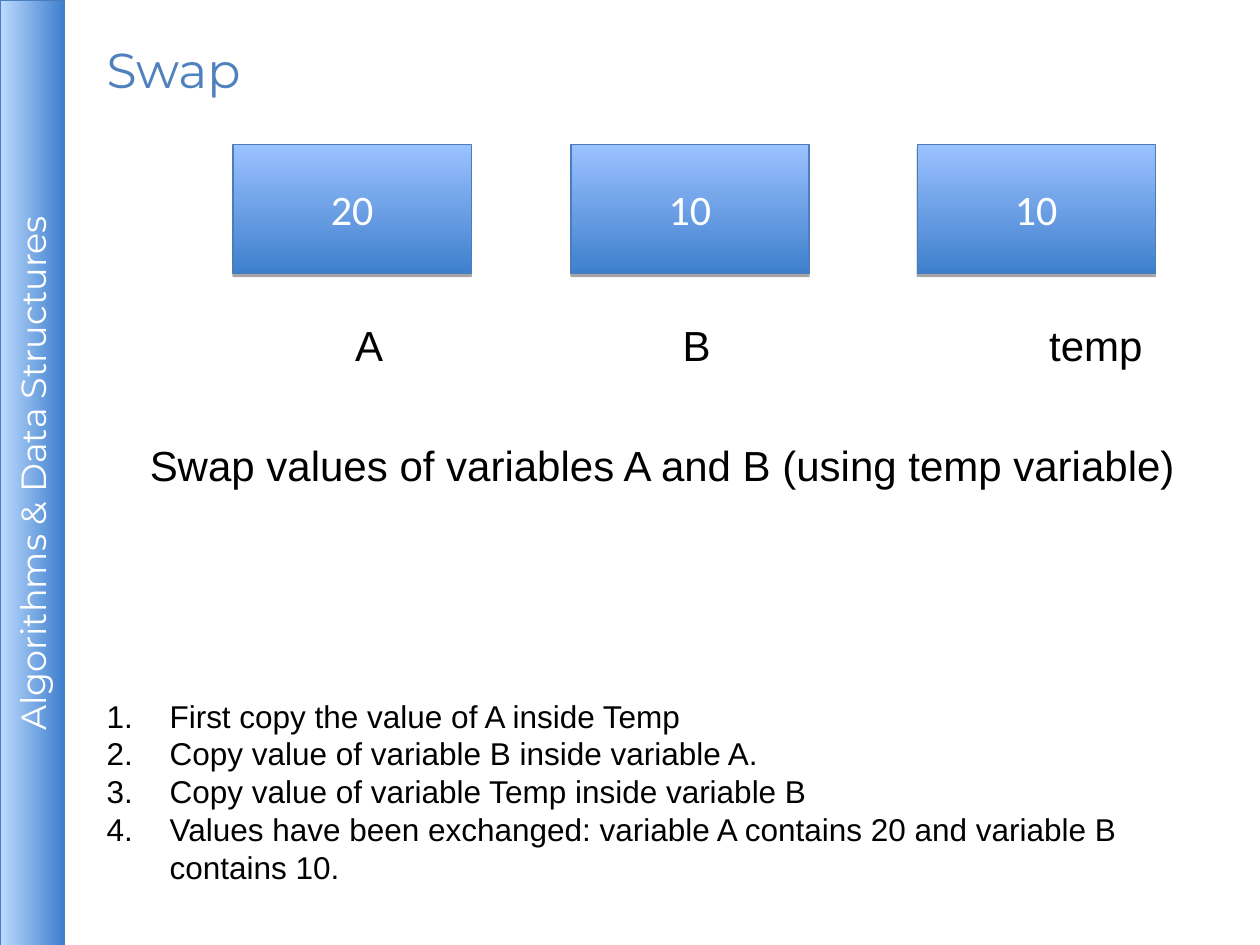
import dataclasses

import lxml.etree
import pptx
import pptx.dml.color
import pptx.enum.shapes
import pptx.enum.text
import pptx.oxml.ns
import pptx.util

Cm = pptx.util.Cm
Pt = pptx.util.Pt
qn = pptx.oxml.ns.qn
PP_ALIGN = pptx.enum.text.PP_ALIGN
ANCHOR = pptx.enum.text.MSO_ANCHOR


def rgb(value):
    return pptx.dml.color.RGBColor.from_string(value)


@dataclasses.dataclass(frozen=True)
class Theme:
    heading_font: str = "Montserrat"
    body_font: str = "Arial"
    box_font: str = "Calibri"
    accent: str = "4F81BD"
    text: str = "000000"
    light: str = "FFFFFF"
    bar_fill: tuple = ("BDDBFE", "3E7FCD")
    bar_line: str = "4A7DBB"
    bar_shadow: str = "EEECE1"
    box_fill: tuple = ("3F80CD", "9BC1FF")
    box_line: str = "4A7EBB"
    box_shadow: str = "000000"
    title_size: int = 28
    body_size: int = 24
    bar_size: int = 20
    step_size: int = 18


class SlideBuilder:
    def __init__(self, prs, theme):
        self.theme = theme
        self.slide = prs.slides.add_slide(prs.slide_layouts[6])

    def style(self, p, font, size, color):
        p.font.name = font
        p.font.size = Pt(size)
        p.font.color.rgb = rgb(color)

    def gradient_box(self, at, text, colors, angle, line, shadow, font, size):
        sp = self.slide.shapes.add_shape(
            pptx.enum.shapes.MSO_SHAPE.RECTANGLE, *map(Cm, at))
        sp.fill.gradient()
        sp.fill.gradient_angle = angle
        for stop, color in zip(sp.fill.gradient_stops, colors):
            stop.color.rgb = rgb(color)
        sp.line.color.rgb = rgb(line)
        sp.line.width = Pt(0.75)
        self.drop_shadow(sp, shadow)
        tf = sp.text_frame
        tf.word_wrap = True
        tf.vertical_anchor = ANCHOR.MIDDLE
        p = tf.paragraphs[0]
        p.text = text
        p.alignment = PP_ALIGN.CENTER
        self.style(p, font, size, self.theme.light)
        return sp

    def drop_shadow(self, sp, color):
        sp.shadow.inherit = False
        effects = sp._element.spPr.find(qn("a:effectLst"))
        outer = lxml.etree.SubElement(
            effects, qn("a:outerShdw"), blurRad="0", dist=str(Pt(1.8)),
            dir="5400000", rotWithShape="0")
        clr = lxml.etree.SubElement(outer, qn("a:srgbClr"), val=color)
        lxml.etree.SubElement(clr, qn("a:alpha"), val="35000")

    def sidebar(self, text):
        t = self.theme
        sp = self.gradient_box((-8.89, 8.89, 19.08, 1.3), text, t.bar_fill, 270,
                               t.bar_line, t.bar_shadow, t.heading_font, t.bar_size)
        sp.rotation = 270
        tf = sp.text_frame
        tf.margin_left = tf.margin_right = tf.margin_top = tf.margin_bottom = Cm(0.1)

    def variable(self, left, value):
        t = self.theme
        self.gradient_box((left, 2.92, 4.8, 2.59), value, t.box_fill, 90,
                          t.box_line, t.box_shadow, t.box_font, t.body_size)

    def text(self, at, lines, size, font=None, color=None, anchor=ANCHOR.TOP, wrap=True):
        t = self.theme
        tf = self.slide.shapes.add_textbox(*map(Cm, at)).text_frame
        tf.word_wrap = wrap
        tf.vertical_anchor = anchor
        for i, line in enumerate(lines):
            p = tf.add_paragraph() if i else tf.paragraphs[0]
            p.text = line
            self.style(p, font or t.body_font, size, color or t.text)
        return tf

    def tabbed_text(self, at, words, stops):
        tf = self.text(at, ["\t".join(words)], self.theme.body_size)
        tabs = lxml.etree.Element(qn("a:tabLst"))
        for stop in stops:
            lxml.etree.SubElement(tabs, qn("a:tab"), pos=str(Cm(stop)), algn="l")
        tf.paragraphs[0]._p.get_or_add_pPr().insert(0, tabs)

    def numbered_list(self, at, lines):
        tf = self.text(at, lines, self.theme.step_size)
        for p in tf.paragraphs:
            pPr = p._p.get_or_add_pPr()
            pPr.set("marL", str(Cm(1.27)))
            pPr.set("indent", str(Cm(-1.27)))
            pPr.insert(0, lxml.etree.Element(qn("a:buAutoNum"), type="arabicPeriod"))


def main():
    prs = pptx.Presentation()
    prs.slide_width, prs.slide_height = Cm(25.4), Cm(19.05)
    theme = Theme()
    s = SlideBuilder(prs, theme)

    s.sidebar("Algorithms & Data Structures")
    s.text((1.9, 0.41, 19.05, 1.98), ["Swap"], theme.title_size,
           theme.heading_font, theme.accent, ANCHOR.MIDDLE)
    s.numbered_list((1.9, 13.92, 23.19, 4.06), [
        "First copy the value of A inside Temp",
        "Copy value of variable B inside variable A.",
        "Copy value of variable Temp inside variable B",
        "Values have been exchanged: variable A contains 20 and variable B contains 10.",
    ])
    for left, value in ((4.7, "20"), (11.51, "10"), (18.49, "10")):
        s.variable(left, value)
    s.tabbed_text((6.91, 6.32, 16.46, 1.27), ["A", "B", "temp"], (6.6, 13.99))
    s.text((2.77, 8.74, 21.26, 1.27),
           ["Swap values of variables A and B (using temp variable)"],
           theme.body_size, wrap=False)

    prs.save("out.pptx")


if __name__ == "__main__":
    main()
